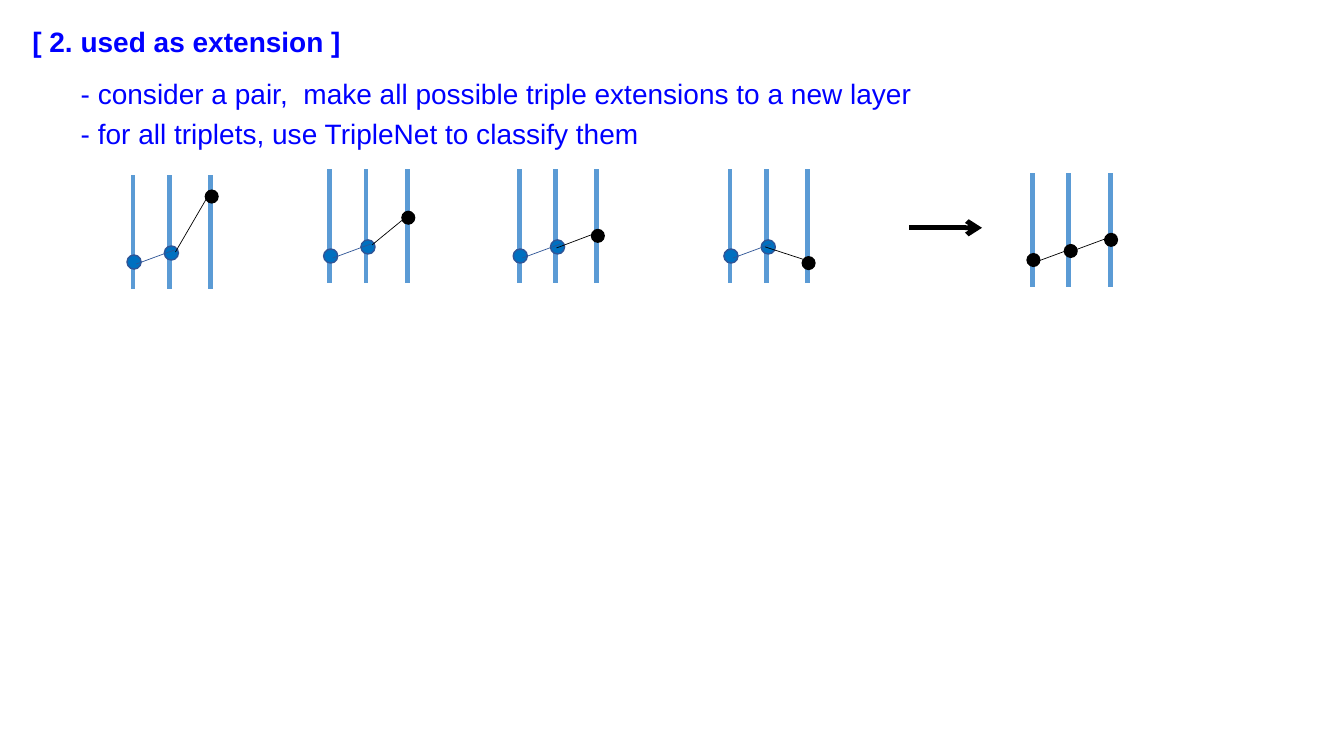
from lxml.etree import SubElement
from pptx import Presentation
from pptx.dml.color import RGBColor
from pptx.enum.shapes import MSO_CONNECTOR, MSO_SHAPE
from pptx.enum.text import MSO_ANCHOR, MSO_AUTO_SIZE, PP_ALIGN
from pptx.oxml.ns import qn
from pptx.util import Inches, Pt

TEXT = RGBColor(0x00, 0x00, 0xFF)
LAYER = RGBColor(0x5B, 0x9B, 0xD5)
HIT = RGBColor(0x00, 0x70, 0xC0)
EDGE = RGBColor(0x2F, 0x55, 0x97)
BLACK = RGBColor(0x00, 0x00, 0x00)


class Board:
    font = "Arial"
    size = Pt(20)
    dot_size = Inches(0.14)

    def __init__(self, slide):
        self.slide = slide

    def text(self, holder, box, lines, bold=False, gap=0):
        holder.left, holder.top, holder.width, holder.height = map(Inches, box)
        frame = holder.text_frame
        frame.word_wrap = True
        frame.auto_size = MSO_AUTO_SIZE.NONE
        frame.vertical_anchor = MSO_ANCHOR.TOP
        for i, line in enumerate(lines):
            para = frame.paragraphs[0] if i == 0 else frame.add_paragraph()
            para.alignment = PP_ALIGN.LEFT
            para.space_before = Pt(gap if i else 0)
            props = para._p.get_or_add_pPr()
            props.set("marL", "0")
            props.set("indent", "0")
            SubElement(props, qn("a:buNone"))
            run = para.add_run()
            run.text = line
            run.font.name = self.font
            run.font.size = self.size
            run.font.bold = bold
            run.font.color.rgb = TEXT

    def line(self, start, end, color, width, arrow=False):
        link = self.slide.shapes.add_connector(
            MSO_CONNECTOR.STRAIGHT, *map(Inches, (*start, *end)))
        link.line.color.rgb = color
        link.line.width = Pt(width)
        if arrow:
            SubElement(link.line._get_or_add_ln(), qn("a:tailEnd"), type="arrow")
        SubElement(link._element.spPr, qn("a:effectLst"))

    def dot(self, x, y, fill, edge=None):
        dot = self.slide.shapes.add_shape(
            MSO_SHAPE.OVAL, Inches(x), Inches(y), self.dot_size, self.dot_size)
        dot.shadow.inherit = False
        dot.fill.solid()
        dot.fill.fore_color.rgb = fill
        if edge is None:
            dot.line.fill.background()
        else:
            dot.line.color.rgb = edge
            dot.line.width = Pt(1)

    def triplet(self, x, y, last, start, end, fill=HIT, edge=EDGE):
        for dx in (0, 0.36, 0.77):
            self.line((x + dx, y), (x + dx, y + 1.13), LAYER, 3.5)
        for dx, dy in ((-0.06, 0.79), (0.31, 0.7)):
            self.dot(x + dx, y + dy, fill, edge)
        self.dot(x + 0.71, y + last, BLACK)
        self.line((x + 0.03, y + 0.88), (x + 0.41, y + 0.74), edge or BLACK, 0.5)
        self.line((x + start[0], y + start[1]), (x + end[0], y + end[1]), BLACK, 0.5)


def main():
    deck = Presentation()
    deck.slide_width, deck.slide_height = Inches(13.33), Inches(7.5)
    slide = deck.slides.add_slide(deck.slide_layouts[1])
    board = Board(slide)
    board.text(slide.shapes.title, (0.22, 0.19, 11.02, 0.43),
               ["[ 2. used as extension ]"], bold=True)
    board.text(slide.placeholders[1], (0.7, 0.71, 10.06, 0.81), [
        "- consider a pair,  make all possible triple extensions to a new layer",
        "- for all triplets, use TripleNet to classify them",
    ], gap=4.4)

    tries = [
        (1.32, 1.74, 0.14, (0.42, 0.76), (0.74, 0.21)),
        (3.27, 1.68, 0.41, (0.42, 0.75), (0.81, 0.43)),
        (5.15, 1.68, 0.59, (0.37, 0.78), (0.82, 0.61)),
        (7.24, 1.68, 0.86, (0.35, 0.77), (0.78, 0.91)),
    ]
    for item in tries:
        board.triplet(*item)
    board.line((9.02, 2.26), (9.74, 2.26), BLACK, 3.5, arrow=True)
    board.triplet(10.24, 1.72, 0.59, (0.37, 0.78), (0.83, 0.61), BLACK, None)
    deck.save("out.pptx")


if __name__ == "__main__":
    main()
